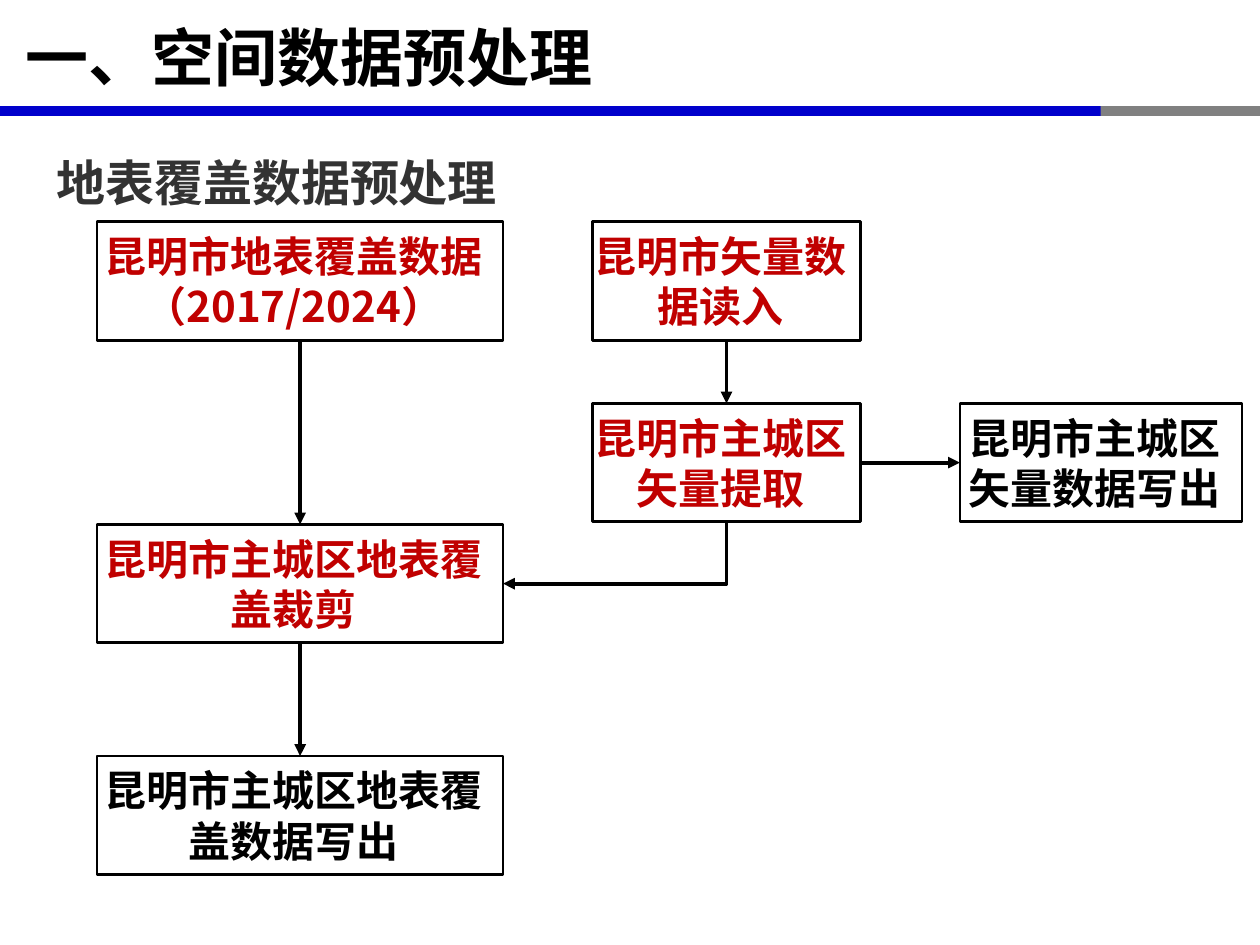
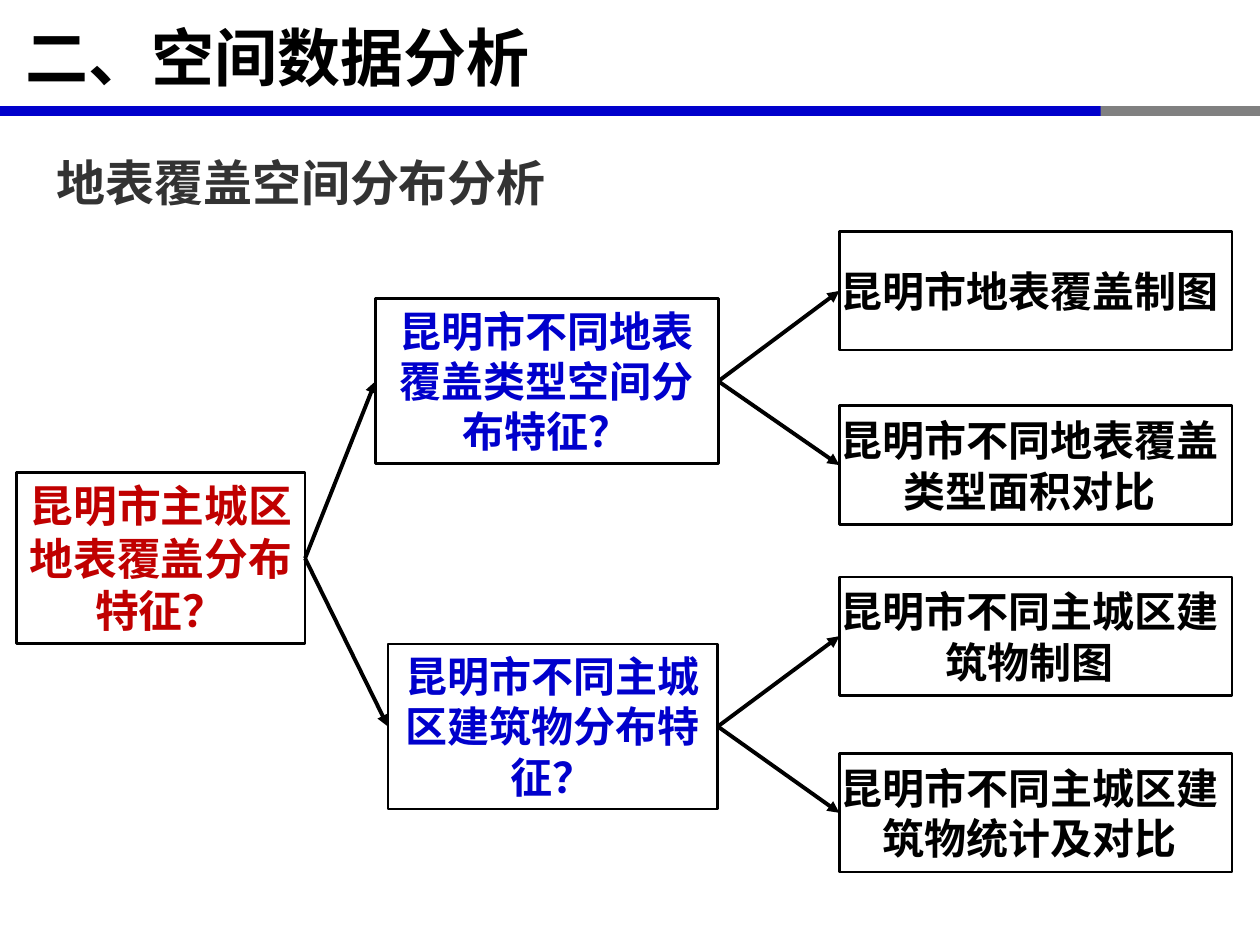
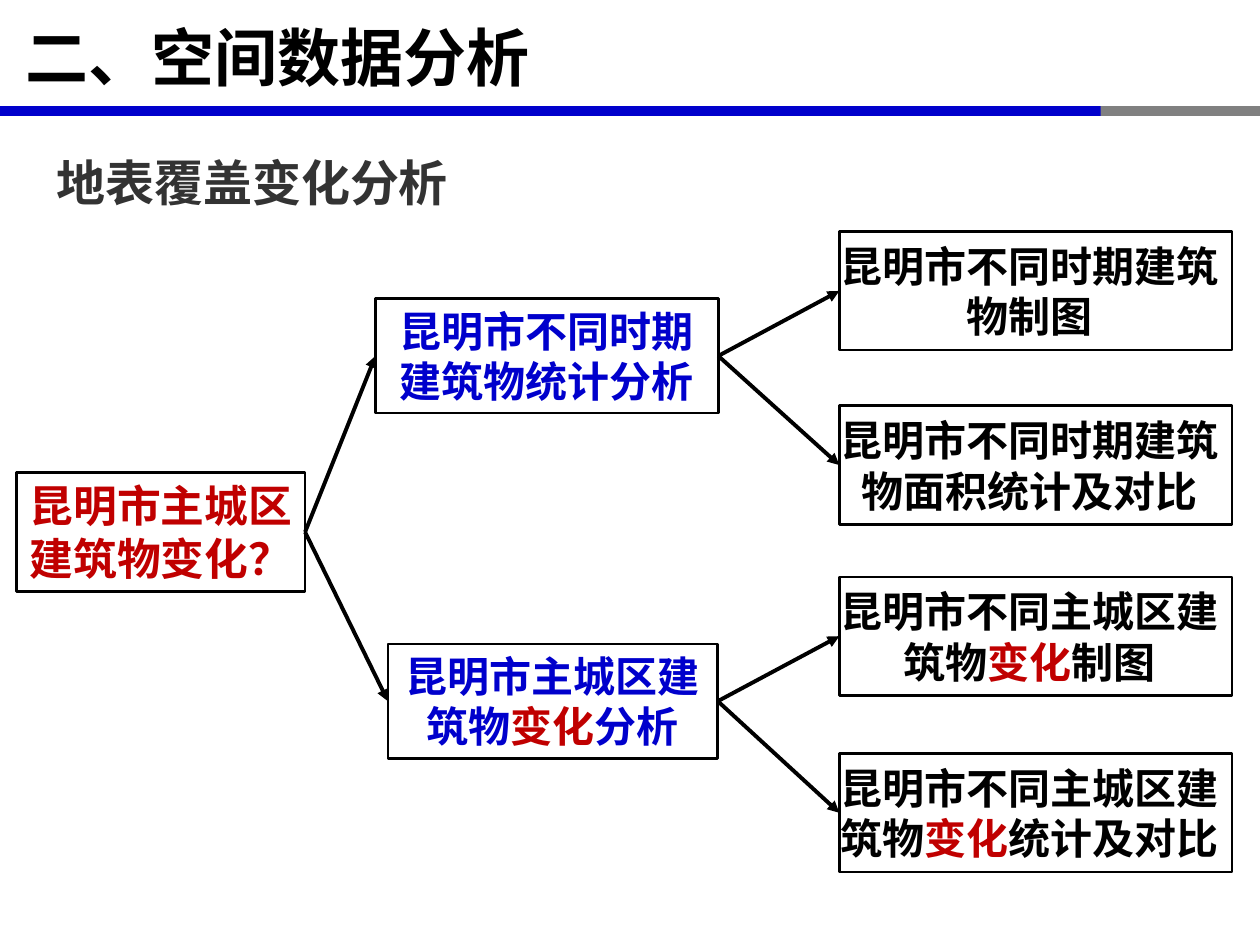
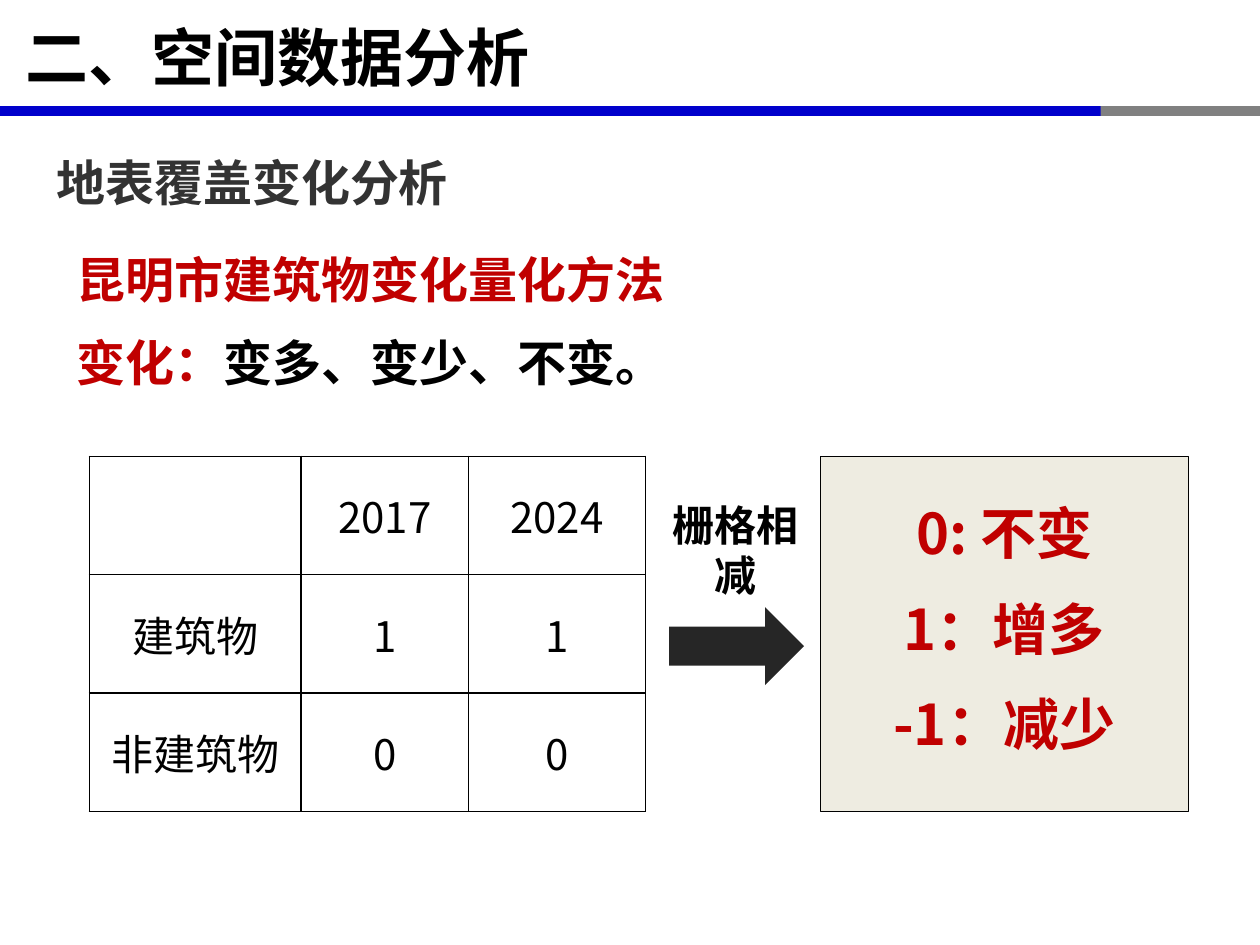
from dataclasses import dataclass
from typing import Sequence

from lxml.etree import SubElement
from pptx import Presentation
from pptx.dml.color import RGBColor
from pptx.enum.shapes import MSO_CONNECTOR as Connector, MSO_SHAPE as Preset
from pptx.enum.text import MSO_ANCHOR as Anchor, PP_ALIGN as Align
from pptx.oxml import parse_xml
from pptx.oxml.ns import nsdecls, qn
from pptx.util import Cm, Pt

FONT = "Noto Sans CJK SC"
BLACK, WHITE, RED, BLUE = "000000", "FFFFFF", "C00000", "0000CC"
GREY, HEADING, CREAM, CHARCOAL = "808080", "333333", "EEECE1", "262626"
TOP, LEFT, BOTTOM, RIGHT = range(4)
BOX_HEIGHT = 2.39


@dataclass(frozen=True)
class Area:
    left: float
    top: float
    width: float
    height: float = BOX_HEIGHT

    def lengths(self) -> tuple:
        return Cm(self.left), Cm(self.top), Cm(self.width), Cm(self.height)


@dataclass(frozen=True)
class TextStyle:
    size: float = 24
    color: str = BLACK
    bold: bool = True
    align: Align = Align.CENTER
    anchor: Anchor = Anchor.TOP
    left_inset: float = 0.25
    line_spacing: float = 1.0


TITLE = TextStyle(36, align=Align.LEFT, anchor=Anchor.MIDDLE, left_inset=0.51)
SUBTITLE = TextStyle(28, HEADING, align=Align.JUSTIFY, line_spacing=1.5)
STEP = TextStyle(anchor=Anchor.MIDDLE, left_inset=0)
KEY_STEP = TextStyle(color=RED, anchor=Anchor.MIDDLE, left_inset=0)
QUESTION = TextStyle(25, RED)
BRANCH = TextStyle(color=BLUE)
CAPTION = TextStyle()
METHOD = TextStyle(28, align=Align.LEFT)
RESULT = TextStyle(32, RED)
CELL = TextStyle(bold=False, anchor=Anchor.MIDDLE)

TITLE_AREA = Area(0, 0.03, 25.04, 2.21)
SUBTITLE_AREA = Area(0.89, 2.36, 23.65, 1.83)
BANDS = ((Area(0, 2.14, 25.29, 0.2), BLUE), (Area(22.19, 2.14, 3.21, 0.2), GREY))


def rgb(color: str) -> RGBColor:
    return RGBColor.from_string(color)


def write(frame, lines: Sequence[str], style: TextStyle) -> None:
    """Write one paragraph per line; text between bars turns red."""
    for index, line in enumerate(lines):
        paragraph = frame.add_paragraph() if index else frame.paragraphs[0]
        paragraph.alignment = style.align
        paragraph.line_spacing = style.line_spacing
        if index:
            paragraph.space_before = Pt(style.size / 2)
        for position, piece in enumerate(line.split("|")):
            if not piece:
                continue
            run = paragraph.add_run()
            run.text = piece
            run.font.name = FONT
            run.font.size = Pt(style.size)
            run.font.bold = style.bold
            run.font.color.rgb = rgb(RED if position % 2 else style.color)
            SubElement(run.font._element, qn("a:ea"), typeface=FONT)


def fill_frame(shape, lines: Sequence[str], style: TextStyle) -> None:
    frame = shape.text_frame
    frame.word_wrap = True
    frame.vertical_anchor = style.anchor
    frame.margin_left = Cm(style.left_inset)
    frame.margin_right = Cm(0.25)
    frame.margin_top = frame.margin_bottom = Cm(0.13)
    write(frame, lines, style)


def add_text(slide, area: Area, lines: Sequence[str], style: TextStyle):
    shape = slide.shapes.add_textbox(*area.lengths())
    fill_frame(shape, lines, style)
    return shape


def add_block(slide, area: Area, fill: str, line_width: float = 0, preset: Preset = Preset.RECTANGLE):
    shape = slide.shapes.add_shape(preset, *area.lengths())
    shape.shadow.inherit = False
    shape.fill.solid()
    shape.fill.fore_color.rgb = rgb(fill)
    if line_width:
        shape.line.color.rgb = rgb(BLACK)
        shape.line.width = Pt(line_width)
    else:
        shape.line.fill.background()
    return shape


def add_box(slide, area: Area, text: str, style: TextStyle):
    shape = add_block(slide, area, WHITE, 1.5)
    fill_frame(shape, [text], style)
    return shape


def add_arrow(slide, source, source_side: int, target, target_side: int):
    connector = slide.shapes.add_connector(Connector.STRAIGHT, 0, 0, 0, 0)
    connector.begin_connect(source, source_side)
    connector.end_connect(target, target_side)
    connector.line.color.rgb = rgb(BLACK)
    connector.line.width = Pt(2.25)
    SubElement(connector.line._get_or_add_ln(), qn("a:tailEnd"), type="triangle")
    SubElement(connector._element.spPr, qn("a:effectLst"))
    return connector


def bend_down_left(connector) -> None:
    span = connector.begin_x - connector.end_x
    drop = connector.end_y - connector.begin_y
    center_x = (connector.begin_x + connector.end_x) // 2
    center_y = (connector.begin_y + connector.end_y) // 2
    properties = connector._element.spPr
    properties.find(qn("a:prstGeom")).set("prst", "bentConnector2")
    transform = properties.find(qn("a:xfrm"))
    transform.attrib.clear()
    transform.set("rot", str(90 * 60000))
    connector.left, connector.top = center_x - drop // 2, center_y - span // 2
    connector.width, connector.height = drop, span


def add_page(presentation, title: str, subtitle: str):
    slide = presentation.slides.add_slide(presentation.slide_layouts[6])
    for area, color in BANDS:
        add_block(slide, area, color)
    add_text(slide, TITLE_AREA, [title], TITLE)
    add_text(slide, SUBTITLE_AREA, [subtitle], SUBTITLE)
    return slide


def add_preprocessing(presentation) -> None:
    slide = add_page(presentation, "一、空间数据预处理", "地表覆盖数据预处理")
    cover_left, cover_width = 1.96, 8.18
    vector_left, vector_width = 11.94, 5.41
    cover = add_box(slide, Area(cover_left, 4.47, cover_width), "昆明市地表覆盖数据（2017/2024）", KEY_STEP)
    vector = add_box(slide, Area(vector_left, 4.47, vector_width), "昆明市矢量数据读入", KEY_STEP)
    clip = add_box(slide, Area(cover_left, 10.57, cover_width), "昆明市主城区地表覆盖裁剪", KEY_STEP)
    extract = add_box(slide, Area(vector_left, 8.13, vector_width), "昆明市主城区矢量提取", KEY_STEP)
    cover_output = add_box(slide, Area(cover_left, 15.24, cover_width), "昆明市主城区地表覆盖数据写出", STEP)
    vector_output = add_box(slide, Area(19.35, 8.13, 5.69), "昆明市主城区矢量数据写出", STEP)
    for source, target in ((cover, clip), (vector, extract), (clip, cover_output)):
        add_arrow(slide, source, BOTTOM, target, TOP)
    add_arrow(slide, extract, RIGHT, vector_output, LEFT)
    bend_down_left(add_arrow(slide, extract, BOTTOM, clip, RIGHT))


def add_question_tree(
    presentation, subtitle: str, question: str, question_height: float,
    branches: Sequence[str], branch_height: float, leaves: Sequence[str],
) -> None:
    slide = add_page(presentation, "二、空间数据分析", subtitle)
    root = add_box(slide, Area(0.33, 9.53, 5.82, question_height), question, QUESTION)
    branch_areas = (Area(7.57, 6.02, 6.91, branch_height), Area(7.82, 12.98, 6.65, branch_height))
    branch_boxes = [add_box(slide, area, text, BRANCH) for area, text in zip(branch_areas, branches)]
    for index, (top, text) in enumerate(zip((4.67, 8.18, 11.63, 15.19), leaves)):
        leaf = add_box(slide, Area(16.92, top, 7.92), text, STEP)
        add_arrow(slide, branch_boxes[index // 2], RIGHT, leaf, LEFT)
    for branch in branch_boxes:
        add_arrow(slide, root, RIGHT, branch, LEFT)


def set_borders(cell) -> None:
    properties = cell._tc.get_or_add_tcPr()
    for index, side in enumerate("LRTB"):
        border = parse_xml(
            f'<a:ln{side} {nsdecls("a")} w="{Pt(1)}"><a:solidFill>'
            f'<a:srgbClr val="{BLACK}"/></a:solidFill></a:ln{side}>'
        )
        properties.insert(index, border)


def add_raster_table(slide, area: Area, widths: Sequence[float], rows: Sequence[Sequence[str]]) -> None:
    table = slide.shapes.add_table(len(rows), len(widths), *area.lengths()).table
    table.first_row = table.horz_banding = False
    for column, width in zip(table.columns, widths):
        column.width = Cm(width)
    for row_index, row in enumerate(rows):
        for column_index, text in enumerate(row):
            cell = table.cell(row_index, column_index)
            cell.fill.background()
            cell.vertical_anchor = CELL.anchor
            set_borders(cell)
            write(cell.text_frame, [text], CELL)


def add_change_method(presentation) -> None:
    slide = add_page(presentation, "二、空间数据分析", "地表覆盖变化分析")
    method = add_block(slide, Area(1.3, 4.9, 19.25, 3.25), WHITE)
    fill_frame(method, ["|昆明市建筑物变化量化方法", "|变化：|变多、变少、不变。"], METHOD)
    add_raster_table(
        slide, Area(1.8, 9.2, 11.21, 7.16), (4.27, 3.38, 3.56),
        (("", "2017", "2024"), ("建筑物", "1", "1"), ("非建筑物", "0", "0")),
    )
    panel = add_block(slide, Area(16.54, 9.2, 7.42, 7.16), CREAM, 0.75)
    legend = add_text(slide, Area(16.89, 9.93, 6.71, 5.74), ["0: 不变", "1：增多", "-1：减少"], RESULT)
    slide.shapes.add_group_shape([panel, legend])
    add_block(slide, Area(13.49, 12.24, 2.72, 1.57), CHARCOAL, preset=Preset.RIGHT_ARROW)
    add_text(slide, Area(13.08, 9.93, 3.51, 2.31), ["栅格相减"], CAPTION)


def main() -> None:
    presentation = Presentation()
    presentation.slide_width, presentation.slide_height = Cm(25.4), Cm(19.05)
    add_preprocessing(presentation)
    add_question_tree(
        presentation, "地表覆盖空间分布分析", "昆明市主城区地表覆盖分布特征？", 3.45,
        ("昆明市不同地表覆盖类型空间分布特征？", "昆明市不同主城区建筑物分布特征？"), 3.33,
        ("昆明市地表覆盖制图", "昆明市不同地表覆盖类型面积对比",
         "昆明市不同主城区建筑物制图", "昆明市不同主城区建筑物统计及对比"),
    )
    add_question_tree(
        presentation, "地表覆盖变化分析", "昆明市主城区建筑物变化？", BOX_HEIGHT,
        ("昆明市不同时期建筑物统计分析", "昆明市主城区建筑物|变化|分析"), 2.31,
        ("昆明市不同时期建筑物制图", "昆明市不同时期建筑物面积统计及对比",
         "昆明市不同主城区建筑物|变化|制图", "昆明市不同主城区建筑物|变化|统计及对比"),
    )
    add_change_method(presentation)
    presentation.save("out.pptx")


if __name__ == "__main__":
    main()
